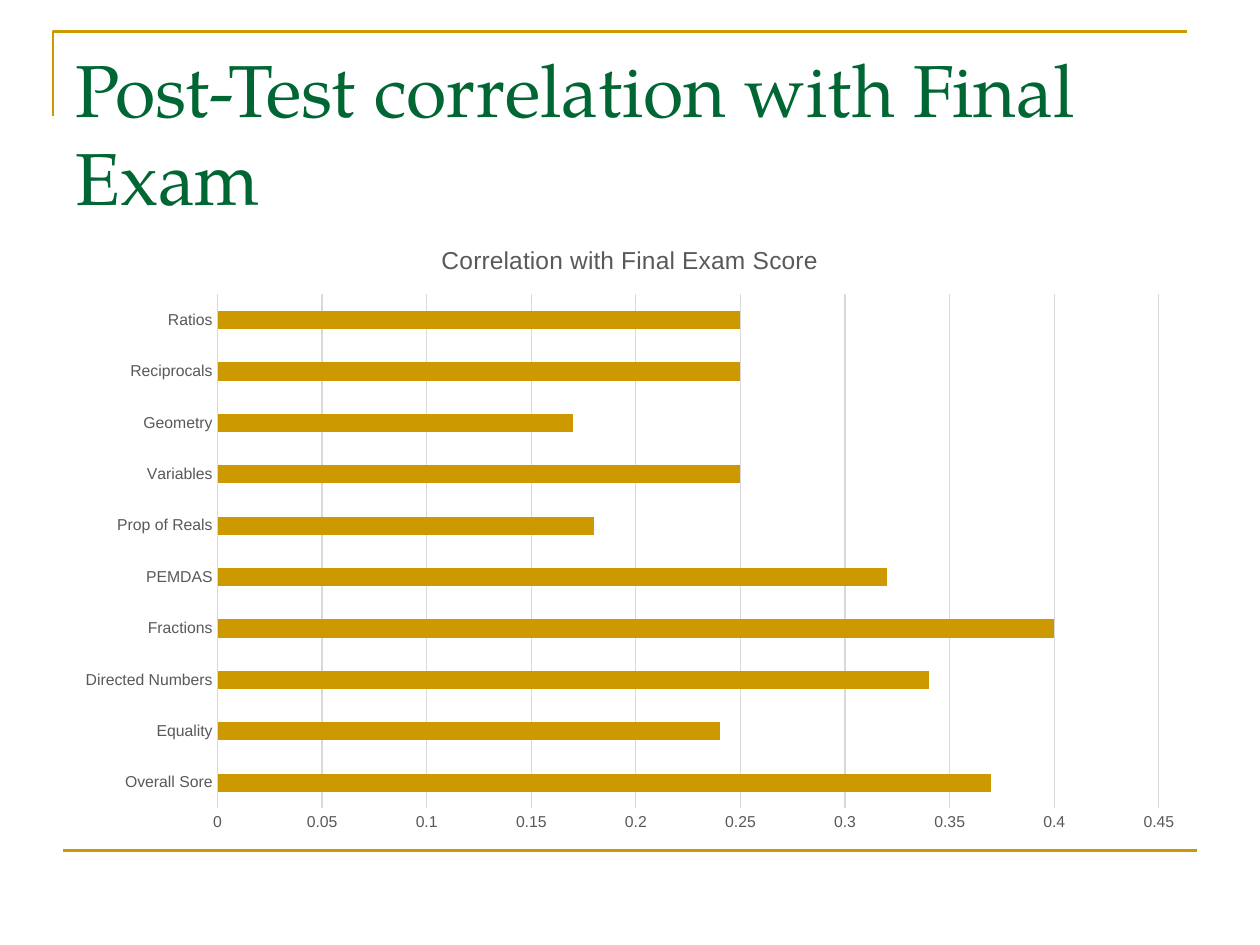
from pptx import Presentation
from pptx.chart.data import CategoryChartData
from pptx.dml.color import RGBColor
from pptx.enum.chart import XL_CHART_TYPE as ChartType, XL_TICK_MARK as TickMark
from pptx.enum.shapes import MSO_CONNECTOR as Connector
from pptx.enum.text import MSO_ANCHOR as Anchor
from pptx.oxml.ns import qn
from pptx.util import Inches, Pt
from lxml import etree

GOLD, GREEN, GRAY, PALE = "CC9900", "006633", "595959", "D9D9D9"
CORRELATIONS = {
    "Overall Sore": 0.37,
    "Equality": 0.24,
    "Directed Numbers": 0.34,
    "Fractions": 0.4,
    "PEMDAS": 0.32,
    "Prop of Reals": 0.18,
    "Variables": 0.25,
    "Geometry": 0.17,
    "Reciprocals": 0.25,
    "Ratios": 0.25,
}


def color(hex_value):
    return RGBColor.from_string(hex_value)


def style_line(line, hex_value, width):
    line.color.rgb = color(hex_value)
    line.width = Pt(width)


def style_font(font, size, hex_value, name="Arial"):
    font.size = Pt(size)
    font.name = name
    font.bold = False
    font.color.rgb = color(hex_value)


def add_corner(slide, left, top, width, height):
    """Open corner rule around the title."""
    builder = slide.shapes.build_freeform(Inches(left), Inches(top + height))
    builder.add_line_segments(
        [(Inches(left), Inches(top)), (Inches(left + width), Inches(top))],
        close=False)
    corner = builder.convert_to_shape()
    corner.shadow.inherit = False
    corner.fill.background()
    style_line(corner.line, GOLD, 1.5)


def add_footer_rule(slide, left, top, width):
    rule = slide.shapes.add_connector(
        Connector.STRAIGHT, Inches(left), Inches(top),
        Inches(left + width), Inches(top))
    style_line(rule.line, GOLD, 1.5)
    etree.SubElement(rule._element.spPr, qn("a:effectLst"))


def add_title(slide, left, top, width, height):
    title = slide.shapes.add_textbox(
        Inches(left), Inches(top), Inches(width), Inches(height)).text_frame
    title.word_wrap = True
    title.vertical_anchor = Anchor.TOP
    run = title.paragraphs[0].add_run()
    run.text = "Post-Test correlation with Final Exam"
    style_font(run.font, 42, GREEN, "TeX Gyre Pagella")


def add_correlation_chart(slide, left, top, width, height):
    name = "Correlation with Final Exam Score"
    scores = CategoryChartData()
    scores.categories = list(CORRELATIONS)
    scores.add_series(name, list(CORRELATIONS.values()))
    chart = slide.shapes.add_chart(
        ChartType.BAR_CLUSTERED, Inches(left), Inches(top),
        Inches(width), Inches(height), scores).chart
    style_font(chart.font, 10, "000000")
    chart.has_legend = False

    # Chart title
    chart.has_title = True
    heading = chart.chart_title.text_frame.paragraphs[0].add_run()
    heading.text = name
    style_font(heading.font, 14, GRAY)
    chart.chart_title.include_in_layout = False

    # Bars
    plot = chart.plots[0]
    plot.gap_width = 182
    plot.vary_by_categories = False
    bars = plot.series[0].format.fill
    bars.solid()
    bars.fore_color.rgb = color(GOLD)

    # Axes
    topics, values = chart.category_axis, chart.value_axis
    for axis in (topics, values):
        axis.major_tick_mark = axis.minor_tick_mark = TickMark.NONE
        style_font(axis.tick_labels.font, 9, GRAY)
    style_line(topics.format.line, PALE, 0.75)
    values.format.line.fill.background()
    values.minimum_scale, values.maximum_scale = 0, 0.45
    values.major_unit = 0.05
    values.has_major_gridlines = True
    style_line(values.major_gridlines.format.line, PALE, 0.75)


def main():
    deck = Presentation()
    deck.slide_width, deck.slide_height = Inches(10), Inches(7.5)
    slide = deck.slides.add_slide(deck.slide_layouts[6])
    add_corner(slide, 0.42, 0.25, 9, 0.67)
    add_footer_rule(slide, 0.5, 6.75, 9)
    add_title(slide, 0.5, 0.3, 9, 1.25)
    add_correlation_chart(slide, 0.5, 1.75, 9, 4.95)
    deck.save("out.pptx")


if __name__ == "__main__":
    main()
